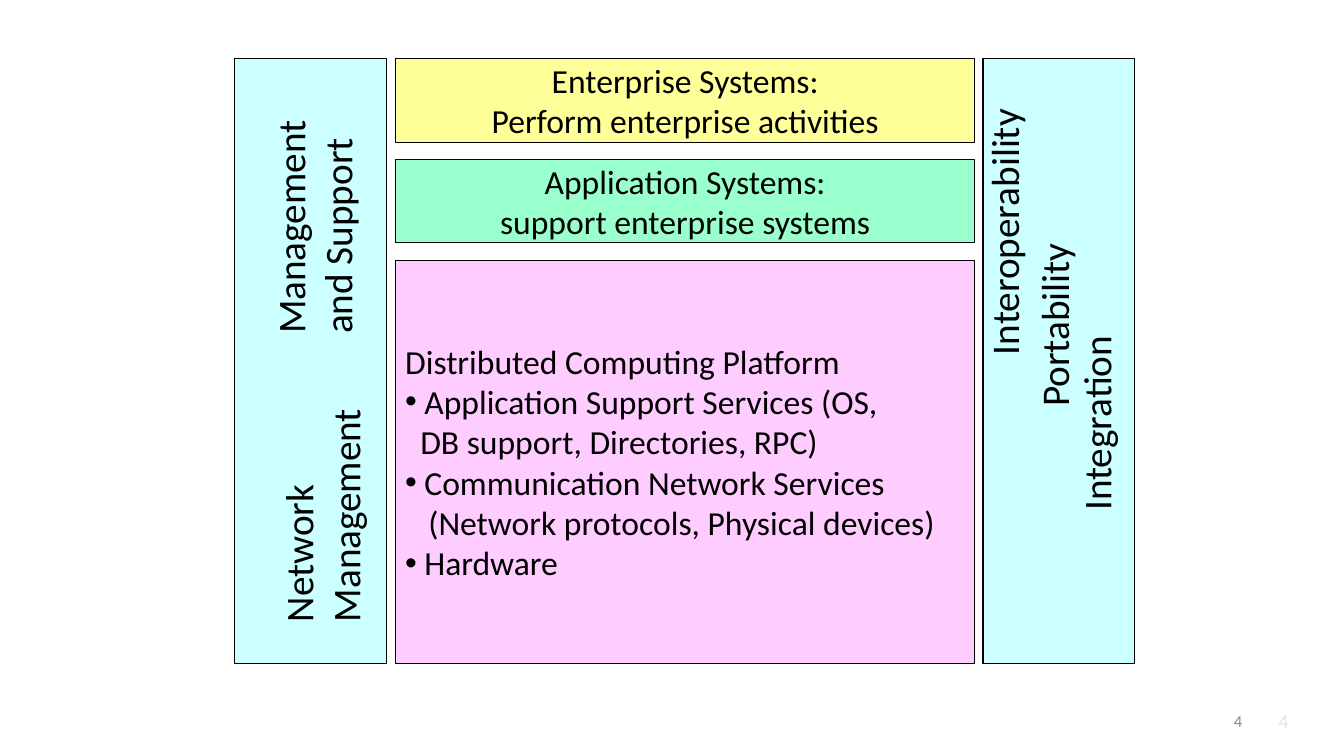
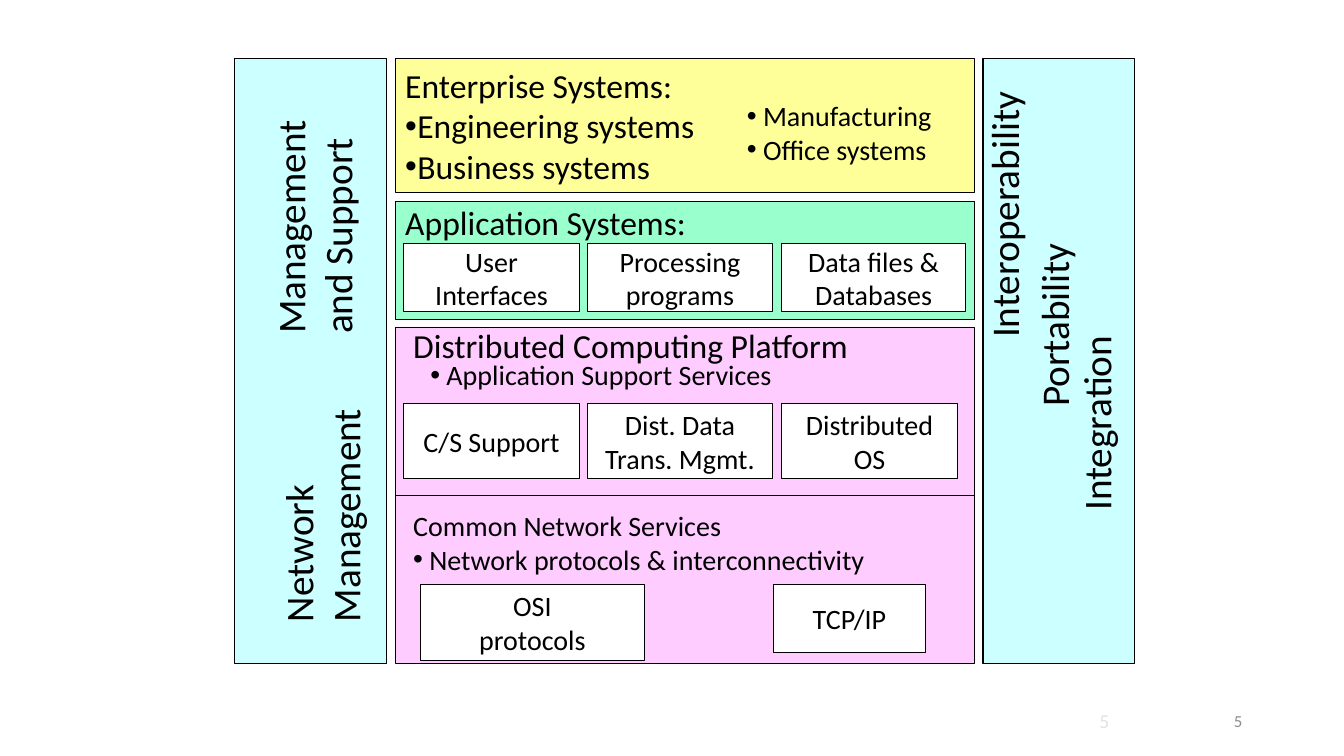
from dataclasses import dataclass

import pptx
import pptx.util
from lxml import etree
from pptx.dml.color import RGBColor
from pptx.enum.shapes import MSO_CONNECTOR, MSO_SHAPE
from pptx.enum.text import MSO_ANCHOR, PP_ALIGN
from pptx.oxml.ns import qn
from pptx.util import Inches

FONT = "Calibri"
COLORS = {
    "black": "000000",
    "white": "FFFFFF",
    "side": "CCFFFF",
    "enterprise": "FFFF99",
    "application": "99FFCC",
    "platform": "FFCCFF",
    "number": "8C8C8C",
    "pale": "E3E3E3",
}
TOP, FULL_HEIGHT = 0.58, 6
SIDE_WIDTH, SIDE_LEFTS = 1.5, (2.33, 9.75)
MAIN_LEFT, MAIN_WIDTH = 3.92, 5.75
TILE_LEFTS = (4, 5.83, 7.75)


@dataclass(frozen=True)
class Line:
    """One paragraph; a bullet hangs in the indent."""
    text: str
    indent: float = 0
    bullet: bool = False


@dataclass(frozen=True)
class Box:
    left: float
    top: float
    width: float
    height: float

    def lengths(self) -> tuple:
        return tuple(Inches(v) for v in (self.left, self.top, self.width, self.height))


@dataclass(frozen=True)
class Tile:
    box: Box
    lines: tuple


@dataclass(frozen=True)
class SideLabel:
    box: Box
    lines: tuple


SIDE_LABELS = (
    SideLabel(Box(1.77, 1.56, 2.67, 1.03), ("Management", "and Support")),
    SideLabel(Box(1.8, 4.37, 2.77, 1.03), ("Network", "Management")),
    SideLabel(Box(9.26, 2.66, 2.38, 0.57), ("Portability",)),
    SideLabel(Box(9.62, 3.63, 2.5, 0.57), ("Integration",)),
)

TILES = (
    Tile(Box(TILE_LEFTS[0], 2.42, 1.75, 0.67), ("User", "Interfaces")),
    Tile(Box(TILE_LEFTS[1], 2.42, 1.83, 0.67), ("Processing", "programs")),
    Tile(Box(TILE_LEFTS[2], 2.42, 1.83, 0.67), ("Data files &", "Databases")),
    Tile(Box(TILE_LEFTS[0], 4, 1.75, 0.75), ("C/S Support",)),
    Tile(Box(TILE_LEFTS[1], 4, 1.83, 0.75), ("Dist. Data", "Trans. Mgmt.")),
    Tile(Box(TILE_LEFTS[2], 4, 1.75, 0.75), ("Distributed", "OS")),
    Tile(Box(4.17, 5.8, 2.22, 0.75), ("OSI", "protocols")),
    Tile(Box(7.67, 5.8, 1.51, 0.67), ("TCP/IP",)),
)


def rgb(name: str) -> RGBColor:
    return RGBColor.from_string(COLORS[name])


def add_bullet(p, indent: float) -> None:
    pPr = p._p.get_or_add_pPr()
    pPr.set("indent", str(-Inches(indent)))
    color = etree.SubElement(pPr, qn("a:buClr"))
    etree.SubElement(color, qn("a:srgbClr"), val=COLORS["black"])
    etree.SubElement(pPr, qn("a:buFont"), typeface="Arial")
    etree.SubElement(pPr, qn("a:buChar"), char="•")


def write(sp, lines: tuple, *, size: float = 24, color: str = "black",
          align=PP_ALIGN.LEFT, anchor=MSO_ANCHOR.MIDDLE, inset_top: float = 0.05) -> None:
    """Fill a shape or text box with plain strings or Lines."""
    tf = sp.text_frame
    tf.word_wrap = True
    tf.vertical_anchor = anchor
    tf.margin_top = Inches(inset_top)
    for i, item in enumerate(lines):
        line = Line(item) if isinstance(item, str) else item
        p = tf.paragraphs[0] if i == 0 else tf.add_paragraph()
        p.alignment = align
        if line.indent:
            p._p.get_or_add_pPr().set("marL", str(Inches(line.indent)))
        if line.bullet:
            add_bullet(p, line.indent)
        r = p.add_run()
        r.text = line.text
        r.font.name = FONT
        r.font.size = pptx.util.Pt(size)
        r.font.color.rgb = rgb(color)


def add_rect(s, box: Box, fill: str, lines: tuple = (), **text_format):
    sp = s.shapes.add_shape(MSO_SHAPE.RECTANGLE, *box.lengths())
    sp.shadow.inherit = False
    sp.fill.solid()
    sp.fill.fore_color.rgb = rgb(fill)
    sp.line.color.rgb = rgb("black")
    sp.line.width = pptx.util.Pt(0.75)
    if lines:
        write(sp, lines, **text_format)
    return sp


def add_text(s, box: Box, lines: tuple, *, rotation: float = 0,
             anchor=MSO_ANCHOR.TOP, **text_format) -> None:
    sp = s.shapes.add_textbox(*box.lengths())
    sp.rotation = rotation
    write(sp, lines, anchor=anchor, **text_format)


def add_divider(s, sp) -> None:
    """Draw a line across the middle of a rectangle."""
    line = s.shapes.add_connector(MSO_CONNECTOR.STRAIGHT, 0, 0, 0, 0)
    line.begin_connect(sp, 1)
    line.end_connect(sp, 3)
    line.line.color.rgb = rgb("black")
    line.line.width = pptx.util.Pt(0.75)
    etree.SubElement(line._element.spPr, qn("a:effectLst"))


def main_box(top: float, height: float) -> Box:
    return Box(MAIN_LEFT, top, MAIN_WIDTH, height)


def add_frame(prs, number: int, interoperability: Box, pale_left: float):
    """Start a slide with its side columns, their labels and page numbers."""
    s = prs.slides.add_slide(prs.slide_layouts[6])
    for left in SIDE_LEFTS:
        add_rect(s, Box(left, TOP, SIDE_WIDTH, FULL_HEIGHT), "side")
    for label in (*SIDE_LABELS, SideLabel(interoperability, ("Interoperability",))):
        add_text(s, label.box, label.lines, size=28, rotation=270)
    for left, width, size, color in ((pale_left, 1, 14, "pale"), (9.42, 3, 12, "number")):
        add_text(s, Box(left, 6.95, width, 0.4), (str(number),), size=size, color=color,
                 align=PP_ALIGN.RIGHT, anchor=MSO_ANCHOR.MIDDLE)
    return s


def add_overview(prs) -> None:
    s = add_frame(prs, 4, Box(8.56, 1.94, 2.79, 0.57), 11.88)
    add_rect(s, main_box(TOP, 0.83), "enterprise",
             ("Enterprise Systems:", "Perform enterprise activities"), align=PP_ALIGN.CENTER)
    add_rect(s, main_box(1.58, 0.83), "application",
             ("Application Systems:", "support enterprise systems"), align=PP_ALIGN.CENTER)
    add_rect(s, main_box(2.58, 4), "platform", (
        "Distributed Computing Platform",
        Line("Application Support Services (OS,", 0.19, True),
        Line("DB support, Directories, RPC)", 0.15),
        Line("Communication Network Services", 0.19, True),
        Line("(Network protocols, Physical devices)", 0.23),
        Line("Hardware", 0.19, True),
    ))


def add_details(prs) -> None:
    s = add_frame(prs, 5, Box(8.52, 1.73, 2.87, 0.57), 10.1)
    add_rect(s, main_box(TOP, 1.33), "enterprise", (
        "Enterprise Systems:",
        Line("Engineering systems", 0.12, True),
        Line("Business systems", 0.12, True),
    ))
    add_text(s, Box(7.31, 0.93, 2.16, 0.97), (
        Line("Manufacturing", 0.16, True),
        Line("Office systems", 0.16, True),
    ), size=20)
    add_rect(s, main_box(2, 1.17), "application", ("Application Systems:",),
             anchor=MSO_ANCHOR.TOP, inset_top=0)
    platform = add_rect(s, main_box(3.25, 3.33), "platform")
    add_divider(s, platform)
    add_text(s, Box(4, 3.17, 5.45, 0.5), ("Distributed Computing Platform",))
    add_text(s, Box(4.17, 3.5, 4.32, 0.5),
             (Line("Application Support Services", 0.16, True),), size=20)
    add_text(s, Box(4, 5, 5.57, 0.9), (
        "Common Network Services",
        Line("Network protocols & interconnectivity", 0.16, True),
    ), size=20)
    for tile in TILES:
        add_rect(s, tile.box, "white", tile.lines, size=20, align=PP_ALIGN.CENTER)


def main() -> None:
    prs = pptx.Presentation()
    prs.slide_width = Inches(13.33)
    prs.slide_height = Inches(7.5)
    add_overview(prs)
    add_details(prs)
    prs.save("out.pptx")


if __name__ == "__main__":
    main()
